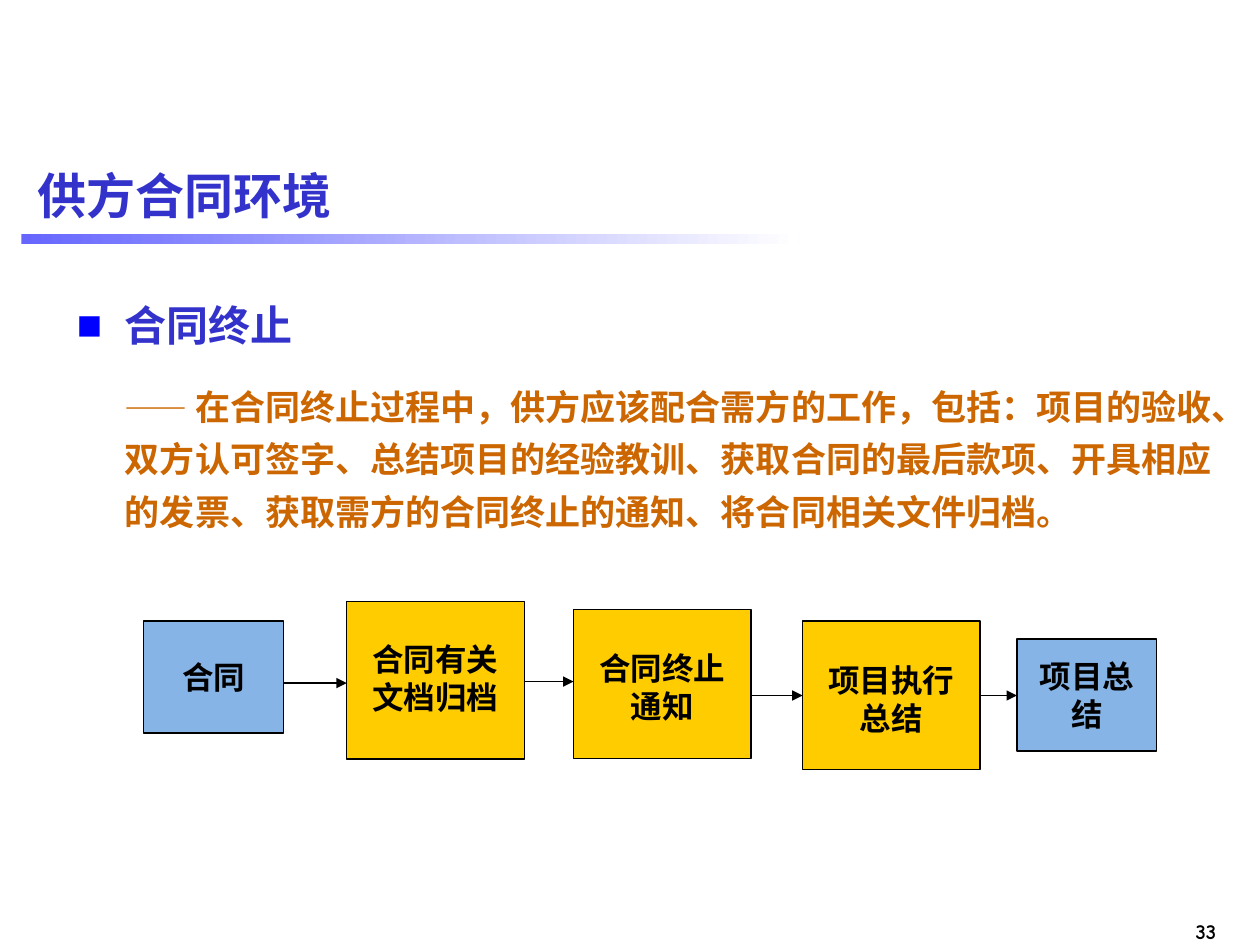
from itertools import pairwise

from lxml.etree import SubElement
from pptx import Presentation
from pptx.dml.color import RGBColor
from pptx.enum.shapes import MSO_CONNECTOR, MSO_SHAPE
from pptx.enum.text import MSO_ANCHOR, PP_ALIGN
from pptx.oxml.ns import qn
from pptx.util import Cm, Pt

BLACK = RGBColor(0x00, 0x00, 0x00)
WHITE = RGBColor(0xFF, 0xFF, 0xFF)
INDIGO = RGBColor(0x33, 0x33, 0xCC)
VIOLET = RGBColor(0x66, 0x66, 0xFF)
BLUE = RGBColor(0x00, 0x00, 0xFF)
ORANGE = RGBColor(0xCC, 0x66, 0x00)
SKY = RGBColor(0x86, 0xB4, 0xE6)
GOLD = RGBColor(0xFF, 0xCC, 0x00)

DUTIES = (
    "在合同终止过程中，供方应该配合需方的工作，包括：项目的验收、双方认可签字、"
    "总结项目的经验教训、获取合同的最后款项、开具相应的发票、"
    "获取需方的合同终止的通知、将合同相关文件归档。"
)
STEPS = [
    ("合同", SKY, (2.9, 12.52, 2.82, 2.26), 0.13),
    ("合同有关文档归档", GOLD, (6.99, 12.12, 3.58, 3.18), 0.05),
    ("合同终止通知", GOLD, (11.56, 12.29, 3.58, 3), 0.25),
    ("项目执行总结", GOLD, (16.18, 12.52, 3.58, 3), 0.25),
    ("项目总结", SKY, (20.5, 12.88, 2.82, 2.26), 0.13),
]
ARROW_HEIGHTS = [13.77, 13.74, 14.02, 14.02]


class SlideBuilder:
    """Draws styled elements on the current slide."""

    heading_font = "Arial"
    step_font = "Times New Roman"
    number_font = "Comic Neue"
    hanging = Cm(0.97)

    def __init__(self, slide):
        self.slide = slide

    def apply(self, target, values):
        for name, value in values.items():
            setattr(target, name, value)

    def run(self, paragraph, text, size, color, font):
        run = paragraph.add_run()
        run.text = text
        self.apply(run.font, {"size": Pt(size), "bold": True, "name": font})
        run.font.color.rgb = color

    def text_frame(self, box, anchor=MSO_ANCHOR.TOP, wrap=True):
        frame = self.slide.shapes.add_textbox(*map(Cm, box)).text_frame
        self.apply(frame, {"word_wrap": wrap, "vertical_anchor": anchor})
        return frame

    def indent(self, paragraph, first_line=0):
        properties = paragraph._p.get_or_add_pPr()
        properties.set("marL", str(self.hanging))
        properties.set("indent", str(first_line))
        return properties

    def bullet(self, paragraph):
        properties = self.indent(paragraph, -self.hanging)
        color = SubElement(properties, qn("a:buClr"))
        SubElement(color, qn("a:srgbClr"), val=str(BLUE))
        SubElement(properties, qn("a:buFont"), typeface=self.heading_font)
        SubElement(properties, qn("a:buChar"), char="■")

    def title(self, text, box):
        frame = self.text_frame(box, MSO_ANCHOR.MIDDLE)
        self.run(frame.paragraphs[0], text, 28, INDIGO, self.heading_font)

    def body(self, topic, detail, box):
        frame = self.text_frame(box)
        heading = frame.paragraphs[0]
        self.bullet(heading)
        self.run(heading, topic, 24, INDIGO, self.heading_font)
        explanation = frame.add_paragraph()
        self.indent(explanation)
        self.apply(explanation, {"line_spacing": 1.25, "space_before": Pt(14)})
        self.run(explanation, "—— ", 18, ORANGE, self.heading_font)
        self.run(explanation, detail, 20, ORANGE, self.heading_font)

    def page_number(self, text, box):
        paragraph = self.text_frame(box, wrap=False).paragraphs[0]
        paragraph.alignment = PP_ALIGN.RIGHT
        self.run(paragraph, text, 12, BLACK, self.number_font)

    def rectangle(self, box):
        rectangle = self.slide.shapes.add_shape(MSO_SHAPE.RECTANGLE, *map(Cm, box))
        rectangle.shadow.inherit = False
        return rectangle

    def gradient_bar(self, box):
        bar = self.rectangle(box)
        bar.line.fill.background()
        bar.fill.gradient()
        bar.fill.gradient_angle = 0
        for stop, color in zip(bar.fill.gradient_stops, (VIOLET, WHITE)):
            stop.color.rgb = color

    def step(self, text, color, box, top_margin):
        step = self.rectangle(box)
        step.fill.solid()
        step.fill.fore_color.rgb = color
        self.outline(step.line)
        self.apply(step.text_frame, {
            "word_wrap": True,
            "vertical_anchor": MSO_ANCHOR.MIDDLE,
            "margin_top": Cm(top_margin),
        })
        paragraph = step.text_frame.paragraphs[0]
        paragraph.alignment = PP_ALIGN.CENTER
        self.run(paragraph, text, 18, BLACK, self.step_font)

    def outline(self, line):
        line.color.rgb = BLACK
        line.width = Pt(0.75)

    def arrow(self, start, end, height):
        arrow = self.slide.shapes.add_connector(
            MSO_CONNECTOR.STRAIGHT, Cm(start), Cm(height), Cm(end), Cm(height)
        )
        self.outline(arrow.line)
        SubElement(arrow.line._get_or_add_ln(), qn("a:tailEnd"), type="triangle")
        SubElement(arrow._element.spPr, qn("a:effectLst"))


def main():
    presentation = Presentation()
    presentation.slide_width = Cm(25.4)
    presentation.slide_height = Cm(19.05)
    builder = SlideBuilder(presentation.slides.add_slide(presentation.slide_layouts[6]))

    builder.page_number("33", (23.37, 18.39, 1.4, 0.76))
    builder.gradient_bar((0.43, 4.72, 15.67, 0.2))
    builder.title("供方合同环境", (0.51, 2.92, 24.41, 2.01))
    builder.body("合同终止", DUTIES, (1.3, 5.92, 23.39, 13.13))
    for step in STEPS:
        builder.step(*step)
    boxes = [box for _, _, box, _ in STEPS]
    for (before, after), height in zip(pairwise(boxes), ARROW_HEIGHTS):
        builder.arrow(before[0] + before[2], after[0], height)

    presentation.save("out.pptx")


if __name__ == "__main__":
    main()
